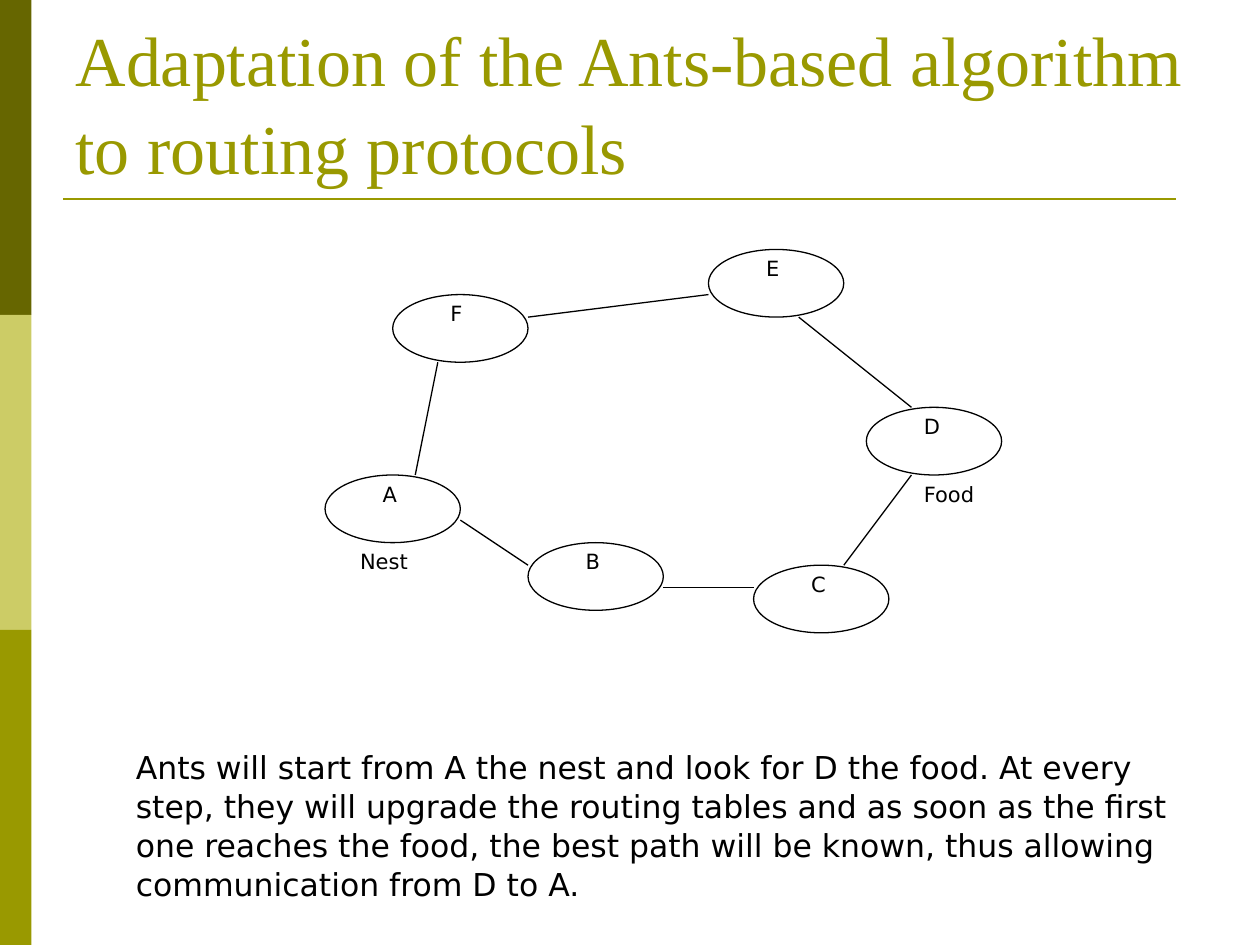
from pptx import Presentation
from pptx.dml.color import RGBColor
from pptx.enum.shapes import MSO_CONNECTOR, MSO_SHAPE
from pptx.enum.text import MSO_ANCHOR, MSO_AUTO_SIZE, PP_ALIGN
from pptx.oxml.ns import qn
from pptx.util import Inches, Pt
from lxml import etree

RECTANGLE, ELLIPSE = MSO_SHAPE.RECTANGLE, MSO_SHAPE.OVAL
STRAIGHT = MSO_CONNECTOR.STRAIGHT
TOP, BOTTOM = MSO_ANCHOR.TOP, MSO_ANCHOR.BOTTOM
LEFT, NO_AUTOFIT = PP_ALIGN.LEFT, MSO_AUTO_SIZE.NONE
SERIF, SANS = "Times New Roman", "DejaVu Sans"
OLIVE, BLACK, WHITE = "999900", "000000", "FFFFFF"

TITLE = "Adaptation of the Ants-based algorithm to routing protocols"
BODY = (
    "Ants will start from A the nest and look for D the food. At every step, "
    "they will upgrade the routing tables and as soon as the first one reaches "
    "the food, the best path will be known, thus allowing communication from D to A."
)
SIDE_COLORS = ["666600", "CCCC66", OLIVE]
NODES = {"A": (0, 10), "B": (9, 13), "C": (19, 14), "D": (24, 7), "E": (17, 0), "F": (3, 2)}
LINKS = [
    ((9, 3), (17, 2)),
    ((5, 5), (4, 10)),
    ((21, 3), (26, 7)),
    ((6, 12), (9, 14)),
    ((23, 14), (26, 10)),
    ((15, 15), (19, 15)),
]
CAPTIONS = {"Nest": (1, 13), "Food": (26, 10)}

WIDTH, HEIGHT = 10, 7.5
GRID_LEFT, GRID_TOP, CELL = 2.58, 1.98, 0.179
NODE_COLUMNS, NODE_ROWS = 6, 3


def color(value):
    """Turn a hex string into a colour."""
    return RGBColor.from_string(value)


def grid_point(column, row):
    """Return the slide position of a grid point in inches."""
    return GRID_LEFT + column * CELL, GRID_TOP + row * CELL


def add_filled(slide, kind, left, top, width, height, fill, outline=None):
    """Add a flat shape with an optional outline."""
    shape = slide.shapes.add_shape(kind, Inches(left), Inches(top), Inches(width), Inches(height))
    shape.shadow.inherit = False
    shape.fill.solid()
    shape.fill.fore_color.rgb = color(fill)
    if outline:
        shape.line.color.rgb = color(outline)
        shape.line.width = Pt(0.75)
    else:
        shape.line.fill.background()


def add_line(slide, start, end, line_color, weight):
    """Add a straight line without a shadow."""
    connector = slide.shapes.add_connector(STRAIGHT, *(Inches(value) for value in start + end))
    connector.line.color.rgb = color(line_color)
    connector.line.width = Pt(weight)
    etree.SubElement(connector._element.spPr, qn("a:effectLst"))


def write_text(shape, text, font, size, text_color, anchor=TOP, spacing=1.0):
    """Write one left-aligned paragraph into a shape."""
    frame = shape.text_frame
    frame.word_wrap = True
    frame.auto_size = NO_AUTOFIT
    frame.vertical_anchor = anchor
    paragraph = frame.paragraphs[0]
    paragraph.alignment = LEFT
    paragraph.line_spacing = spacing
    run = paragraph.add_run()
    run.text = text
    run.font.name = font
    run.font.size = Pt(size)
    run.font.color.rgb = color(text_color)


def add_text(slide, left, top, width, height, text, size, spacing=1.0):
    """Add a black text box."""
    box = slide.shapes.add_textbox(Inches(left), Inches(top), Inches(width), Inches(height))
    write_text(box, text, SANS, size, BLACK, spacing=spacing)


def add_frame(slide):
    """Add the side bands, the title and its rule."""
    band = HEIGHT / len(SIDE_COLORS)
    for index, fill in enumerate(SIDE_COLORS):
        add_filled(slide, RECTANGLE, 0, index * band, WIDTH / 40, band, fill)
    add_line(slide, (0.5, 1.58), (9.33, 1.58), OLIVE, 1.5)
    title = slide.shapes.title
    title.left, title.top, title.width, title.height = map(Inches, (0.5, 0.3, 9, 1.25))
    write_text(title, TITLE, SERIF, 40, OLIVE, BOTTOM, 1.05)


def add_network(slide):
    """Draw the nodes, links and captions on the grid."""
    for start, end in LINKS:
        add_line(slide, grid_point(*start), grid_point(*end), BLACK, 0.75)
    for name, (column, row) in NODES.items():
        add_filled(slide, ELLIPSE, *grid_point(column, row),
                   NODE_COLUMNS * CELL, NODE_ROWS * CELL, WHITE, BLACK)
        add_text(slide, *grid_point(column + 2, row), 2 * CELL, 2 * CELL, name, 12)
    for caption, position in CAPTIONS.items():
        add_text(slide, *grid_point(*position), 5 * CELL, 2 * CELL, caption, 12)


def main():
    """Build and save the slide."""
    presentation = Presentation()
    presentation.slide_width, presentation.slide_height = Inches(WIDTH), Inches(HEIGHT)
    slide = presentation.slides.add_slide(presentation.slide_layouts[5])
    add_frame(slide)
    add_network(slide)
    add_text(slide, 0.98, 5.88, 8.43, 1.3, BODY, 18, 1.03)
    presentation.save("out.pptx")


if __name__ == "__main__":
    main()
